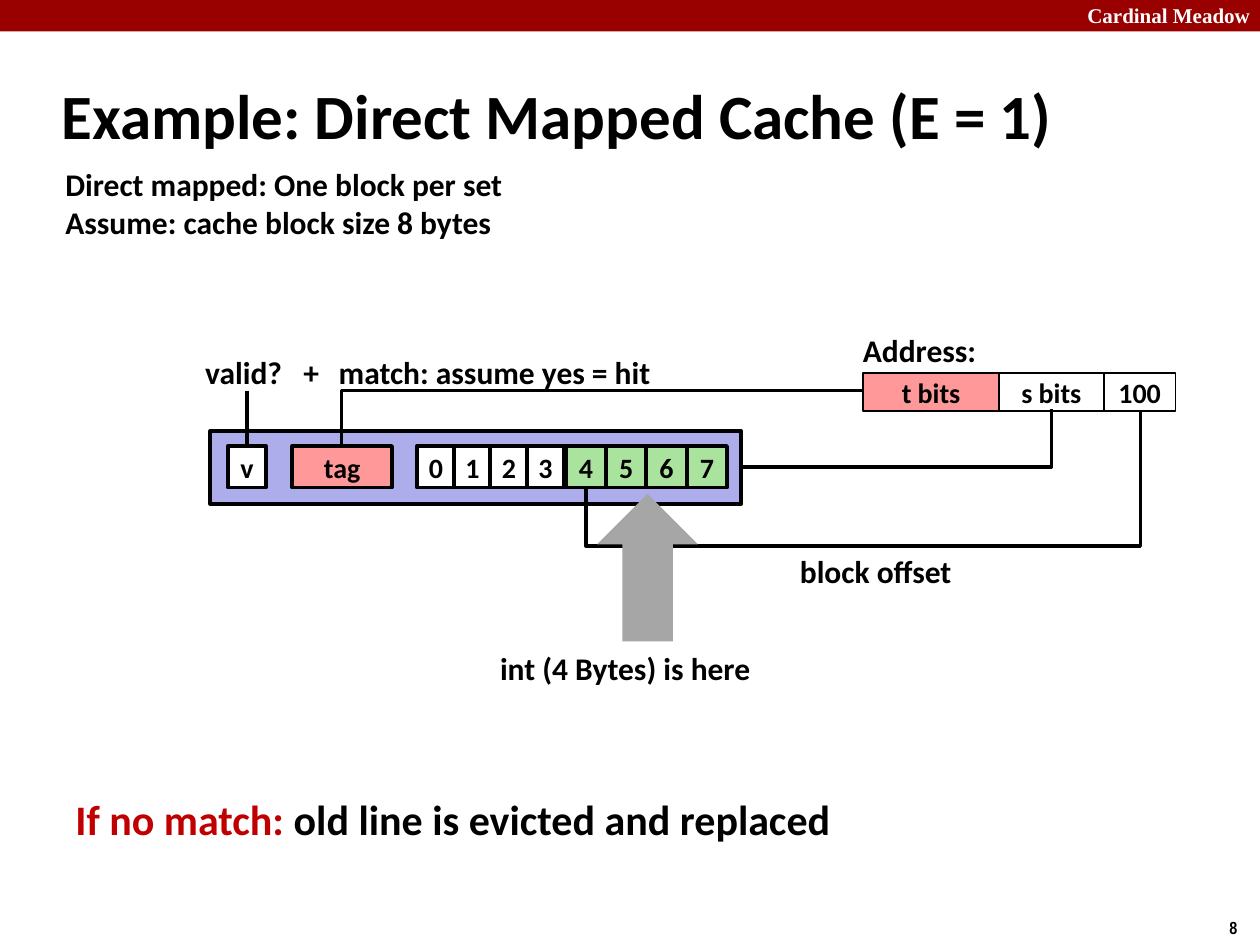
from pptx import Presentation
from pptx.dml.color import RGBColor
from pptx.enum.shapes import MSO_CONNECTOR as Link, MSO_SHAPE as Form
from pptx.enum.text import MSO_ANCHOR as Anchor, PP_ALIGN as Align
from pptx.oxml.ns import qn
from pptx.util import Inches, Pt
from lxml.etree import SubElement

BLACK = RGBColor(0x00, 0x00, 0x00)
WHITE = RGBColor(0xFF, 0xFF, 0xFF)
MAROON = RGBColor(0x99, 0x00, 0x00)
RED = RGBColor(0xC0, 0x00, 0x00)
PINK = RGBColor(0xFF, 0x99, 0x99)
LILAC = RGBColor(0xAD, 0xAD, 0xEB)
GREEN = RGBColor(0xA9, 0xE3, 0x9D)
GRAY = RGBColor(0xA6, 0xA6, 0xA6)


class Board:
    font = "Calibri"

    def __init__(self, slide):
        self.slide = slide
        self.shapes = slide.shapes

    def style(self, run, size, color, font=None):
        run.font.name = font or self.font
        run.font.size = Pt(size)
        run.font.bold = True
        run.font.color.rgb = color

    def label(self, box, lines, size=18, color=BLACK, font=None, wrap=False):
        frame = self.shapes.add_textbox(*map(Inches, box)).text_frame
        frame.word_wrap = wrap
        frame.text = lines
        for para in frame.paragraphs:
            for run in para.runs:
                self.style(run, size, color, font)
        return frame

    def block(self, box, fill, text="", line=None, form=Form.RECTANGLE):
        shape = self.shapes.add_shape(form, *map(Inches, box))
        shape.shadow.inherit = False
        shape.fill.solid()
        shape.fill.fore_color.rgb = fill
        if line:
            shape.line.color.rgb = BLACK
            shape.line.width = Pt(line)
        else:
            shape.line.fill.background()
        if text:
            frame = shape.text_frame
            frame.word_wrap = False
            frame.vertical_anchor = Anchor.MIDDLE
            frame.text = text
            para = frame.paragraphs[0]
            para.alignment = Align.CENTER
            self.style(para.runs[0], 16, BLACK)
        return shape

    def wire(self, start, end, kind=Link.STRAIGHT):
        link = self.shapes.add_connector(kind, *map(Inches, start + end))
        link.line.color.rgb = BLACK
        link.line.width = Pt(2)
        SubElement(link._element.spPr, qn("a:effectLst"))
        return link

    def elbow(self, box, turn, flip=False, bend=None):
        left, top, wide, high = box
        link = self.wire((left, top), (left + wide, top + high), Link.ELBOW)
        props = link._element.spPr
        frame = props.find(qn("a:xfrm"))
        frame.set("rot", str(turn * 60000))
        if flip:
            frame.set("flipV", "1")
        geom = props.find(qn("a:prstGeom"))
        if bend is None:
            geom.set("prst", "bentConnector2")
        else:
            guides = geom.find(qn("a:avLst"))
            if guides is None:
                guides = SubElement(geom, qn("a:avLst"))
            SubElement(guides, qn("a:gd"), name="adj1",
                       fmla=f"val {round(bend * 100000)}")


def header(board):
    board.block((0, 0, 10, 0.25), MAROON)
    brand = board.label((8.42, -0.03, 1.6, 0.3), "Cardinal Meadow", 12, WHITE,
                        "Times New Roman", True)
    brand.paragraphs[0].alignment = Align.RIGHT
    board.label((9.66, 7.23, 0.34, 0.27), "8", 10, font="Arial Narrow")
    title = board.label((0.39, 0.49, 8.3, 0.83),
                        "Example: Direct Mapped Cache (E = 1)", 36, wrap=True)
    title.vertical_anchor = Anchor.MIDDLE
    board.label((0.42, 1.26, 3.71, 0.71),
                "Direct mapped: One block per set\nAssume: cache block size 8 bytes")


def address(board):
    left = 6.85
    for text, wide, fill in (("t bits", 1.08, PINK), ("s bits", 0.83, WHITE),
                             ("100", 0.57, WHITE)):
        board.block((left, 2.96, wide, 0.3), fill, text, 1)
        left += wide
    board.label((6.75, 2.58, 1.11, 0.4), "Address:")


def cache(board):
    top, high = 3.54, 0.33
    board.block((1.67, 3.42, 4.21, 0.58), LILAC, line=2.25)
    for i in range(4):
        board.block((3.31 + 0.29 * i, top, 0.3, high), WHITE, str(i), 2.25)
    for i in range(4):
        board.block((4.49 + 0.32 * i, top, 0.32, high), GREEN, str(i + 4), 2.25)
    board.block((2.32, top, 0.79, high), PINK, "tag", 2.25)
    return board.block((1.81, top, 0.3, high), WHITE, "v", 2.25)


def links(board, valid):
    board.elbow((6.88, 2.24, 0.46, 2.47), 90)
    board.elbow((2.71, 3.1, 4.14, 0.44), 180, flip=True)
    board.wire((1.96, 3.1), (1.96, 3.54)).end_connect(valid, 0)
    board.elbow((6.54, 1.36, 0.62, 4.4), 90, bend=1.75)


def notes(board):
    board.block((4.74, 3.92, 0.8, 1.17), GRAY, form=Form.UP_ARROW)
    for box, text in (
        ((1.53, 2.75, 0.9, 0.4), "valid?"),
        ((2.31, 2.75, 0.35, 0.4), "+"),
        ((2.59, 2.75, 2.7, 0.4), "match: assume yes = hit"),
        ((3.87, 5.1, 2.21, 0.4), "int (4 Bytes) is here"),
        ((6.25, 4.33, 1.42, 0.4), "block offset"),
    ):
        board.label(box, text, wrap=True)
    miss = board.label((0.5, 6.25, 6.27, 0.5), "If no match: ", 24, RED)
    rest = miss.paragraphs[0].add_run()
    rest.text = "old line is evicted and replaced"
    board.style(rest, 24, BLACK)


def main():
    deck = Presentation()
    deck.slide_width, deck.slide_height = Inches(10), Inches(7.5)
    board = Board(deck.slides.add_slide(deck.slide_layouts[6]))
    header(board)
    address(board)
    links(board, cache(board))
    notes(board)
    deck.save("out.pptx")


if __name__ == "__main__":
    main()
